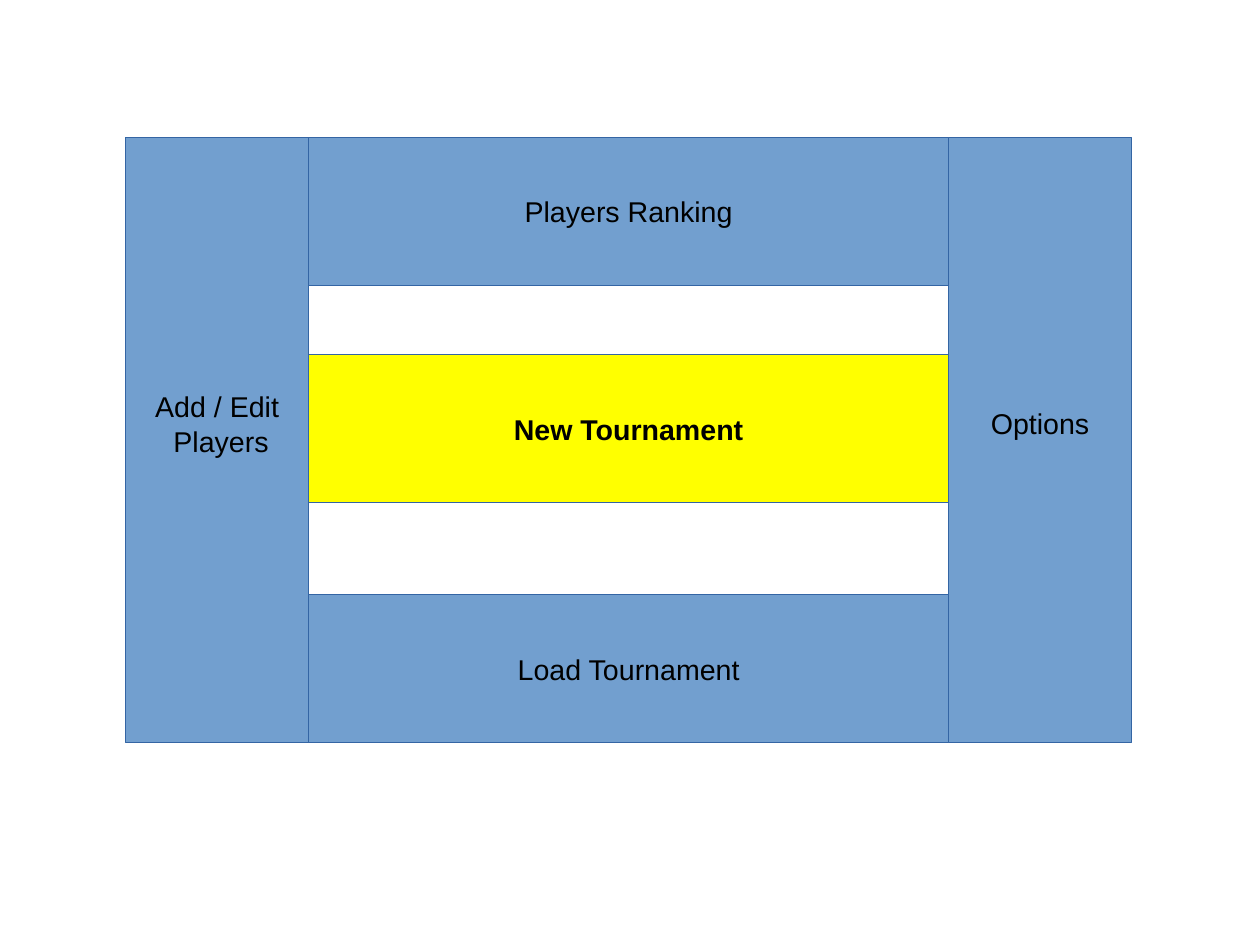
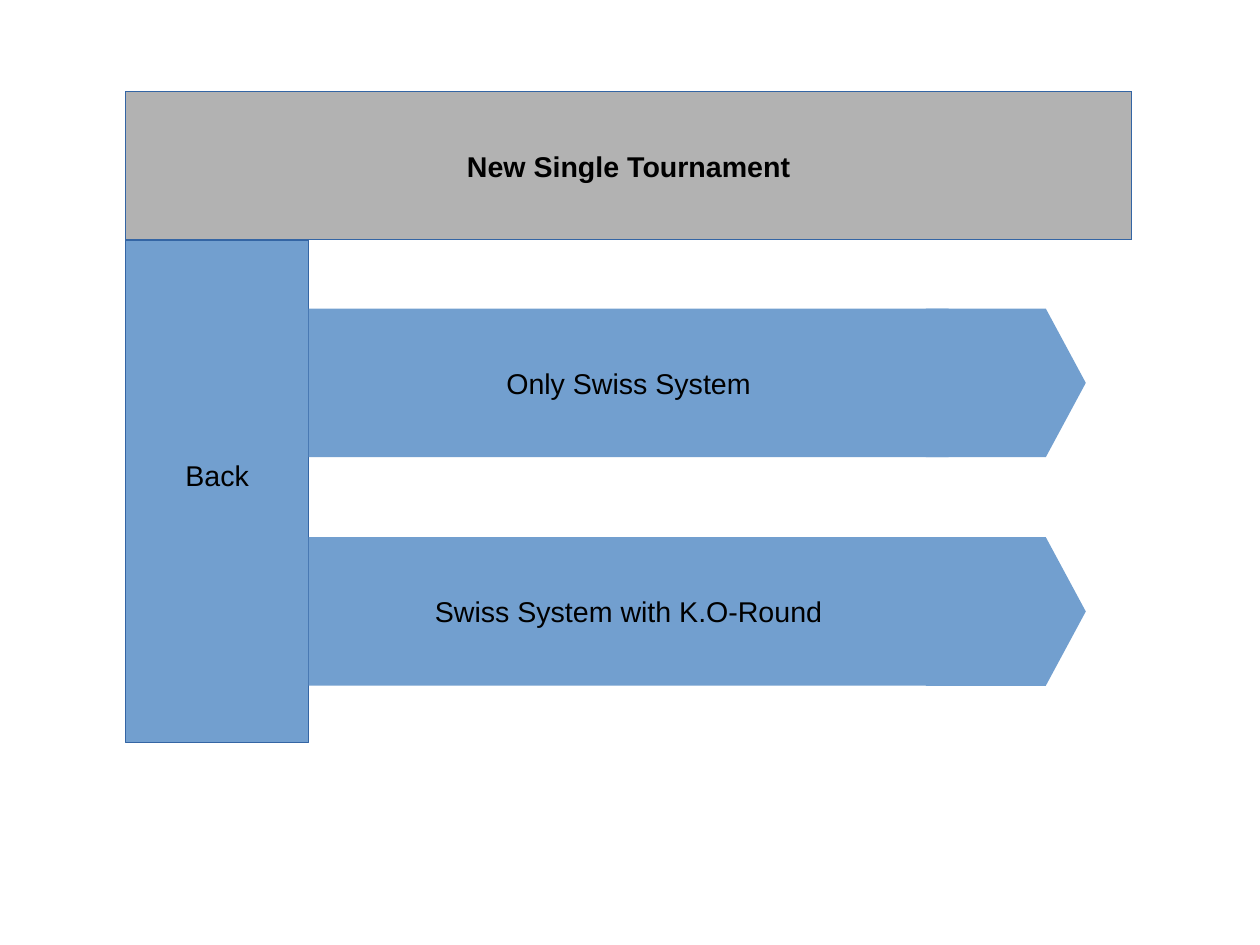
from dataclasses import dataclass

from pptx import Presentation
from pptx.dml.color import RGBColor
from pptx.enum import shapes, text
from pptx.util import Pt


@dataclass(frozen=True)
class Theme:
    font: str = "Arial"
    size: float = 18
    ink: str = "000000"
    edge: str = "3465A4"
    button: str = "729FCF"
    active: str = "FFFF00"
    header: str = "B2B2B2"
    inset_x: float = 7.2
    inset_y: float = 3.6
    lift: float = 20.7  # one text line, kept free below side button labels


@dataclass(frozen=True)
class Box:
    x: float
    y: float
    w: float
    h: float

    def pt(self):
        return [Pt(v) for v in (self.x, self.y, self.w, self.h)]


T = Theme()
SLIDE_W, SLIDE_H = 793.7, 595.28
SIDE_W, ROW_H = 115.2, 93.6
MENU = Box(79.2, 86.4, 633.6, 381.6)
SETUP = Box(79.2, 57.6, 633.6, 410.4)


def paint(sp, fill, outlined=True):
    sp.fill.solid()
    sp.fill.fore_color.rgb = RGBColor.from_string(fill)
    if outlined:
        sp.line.color.rgb = RGBColor.from_string(T.edge)
        sp.line.width = Pt(0)
    else:
        sp.line.fill.background()


def label(sp, lines, bold=False, lift=0):
    """Centre the lines in the shape; lift is extra room below them."""
    tf = sp.text_frame
    tf.text = "\n".join(lines)
    frame = dict(word_wrap=False, auto_size=text.MSO_AUTO_SIZE.NONE,
                 vertical_anchor=text.MSO_ANCHOR.MIDDLE,
                 margin_left=Pt(T.inset_x), margin_right=Pt(T.inset_x),
                 margin_top=Pt(T.inset_y), margin_bottom=Pt(T.inset_y + lift))
    for name, value in frame.items():
        setattr(tf, name, value)
    for p in tf.paragraphs:
        p.alignment = text.PP_ALIGN.CENTER
        for r in p.runs:
            for name, value in dict(name=T.font, size=Pt(T.size), bold=bold).items():
                setattr(r.font, name, value)
            r.font.color.rgb = RGBColor.from_string(T.ink)


def block(s, box, fill=T.button, outlined=True, kind=shapes.MSO_SHAPE.RECTANGLE):
    sp = s.shapes.add_shape(kind, *box.pt())
    sp.shadow.inherit = False
    paint(sp, fill, outlined)
    return sp


def button(s, box, *lines, fill=T.button, bold=False, lift=0, outlined=True):
    label(block(s, box, fill, outlined), lines, bold, lift)


def header(s, box, title):
    sp = s.shapes.title
    sp.left, sp.top, sp.width, sp.height = box.pt()
    paint(sp, T.header)
    label(sp, [title], bold=True)


def arrow_button(s, box, title):
    """A labelled bar whose pointed end reaches past the box."""
    button(s, box, title, outlined=False)
    overlap, tip_w, point_w = 14.4, 100.8, 25.2
    tip = block(s, Box(box.x + box.w - overlap, box.y, tip_w, box.h),
                outlined=False, kind=shapes.MSO_SHAPE.PENTAGON)
    tip.adjustments[0] = point_w / box.h


def main_menu(s, area):
    mid_x, mid_w = area.x + SIDE_W, area.w - 2 * SIDE_W

    def row(y):
        return Box(mid_x, area.y + y, mid_w, ROW_H)

    button(s, row(136.8), "New Tournament", fill=T.active, bold=True)
    button(s, Box(area.x, area.y, SIDE_W, area.h), "Add / Edit", " Players", lift=T.lift)
    button(s, Box(mid_x + mid_w, area.y, SIDE_W, area.h), "Options", lift=T.lift)
    button(s, row(area.h - ROW_H), "Load Tournament")
    button(s, row(0), "Players Ranking")


def tournament_setup(s, area, title, choices):
    header(s, Box(area.x, area.y, area.w, ROW_H), title)
    button(s, Box(area.x, area.y + ROW_H, SIDE_W, area.h - ROW_H), "Back", lift=T.lift)
    first, pitch = area.y + ROW_H + 43.2, 144
    for i, choice in enumerate(choices):
        arrow_button(s, Box(area.x + SIDE_W, first + i * pitch,
                            area.w - 2 * SIDE_W, ROW_H), choice)


def main():
    prs = Presentation()
    prs.slide_width, prs.slide_height = Pt(SLIDE_W), Pt(SLIDE_H)
    title_only, blank = prs.slide_layouts[5], prs.slide_layouts[6]
    main_menu(prs.slides.add_slide(blank), MENU)
    tournament_setup(prs.slides.add_slide(title_only), SETUP, "New Single Tournament",
                     ["Only Swiss System", "Swiss System with K.O-Round"])
    prs.save("out.pptx")


if __name__ == "__main__":
    main()
